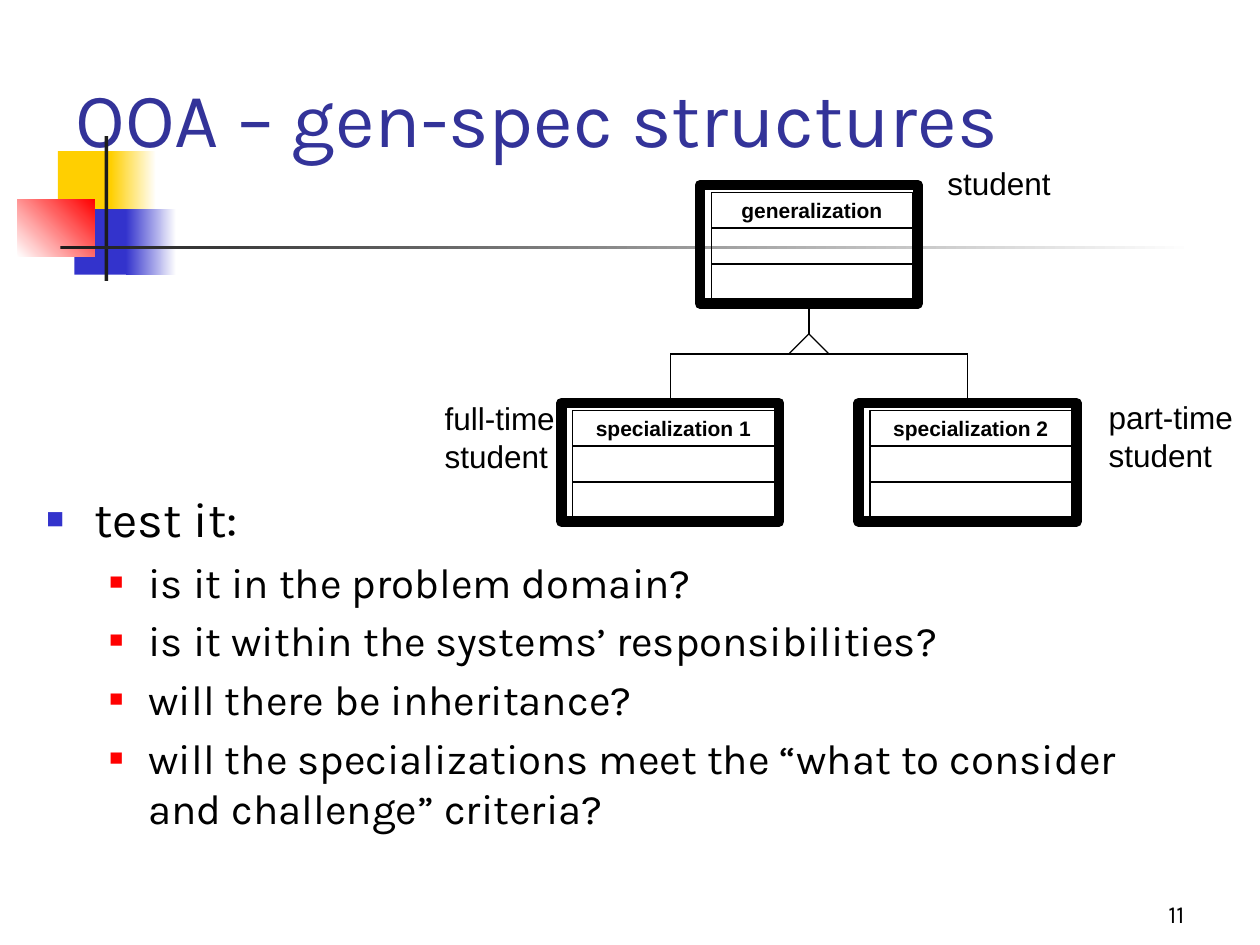
from lxml.etree import SubElement
from pptx import Presentation
from pptx.dml.color import RGBColor
from pptx.enum.shapes import MSO_CONNECTOR, MSO_SHAPE
from pptx.enum.text import MSO_ANCHOR, MSO_AUTO_SIZE, PP_ALIGN
from pptx.oxml.ns import qn
from pptx.util import Inches, Pt

BLACK = RGBColor(0x00, 0x00, 0x00)
WHITE = RGBColor(0xFF, 0xFF, 0xFF)
CHARCOAL = RGBColor(0x1C, 0x1C, 0x1C)
YELLOW = RGBColor(0xFF, 0xCF, 0x01)
BLUE = RGBColor(0x33, 0x33, 0xCC)
RED = RGBColor(0xFF, 0x00, 0x00)
INDIGO = RGBColor(0x33, 0x33, 0x99)

BOX_WIDTH, BOX_HEIGHT = 1.73, 0.94
ROW_WIDTH, ROW_HEIGHT = 1.6, 0.28
ROW_PITCH = 0.285


def write(frame, lines, font="Karla", size=18, color=BLACK, bold=False,
          align=PP_ALIGN.LEFT, anchor=MSO_ANCHOR.TOP, wrap=True,
          fit=MSO_AUTO_SIZE.NONE):
    frame.word_wrap = wrap
    frame.auto_size = fit
    frame.vertical_anchor = anchor
    frame.text = lines
    for paragraph in frame.paragraphs:
        paragraph.alignment = align
        for run in paragraph.runs:
            run.font.name = font
            run.font.size = Pt(size)
            run.font.bold = bold
            run.font.color.rgb = color


def add_bullet(paragraph, level, size, color, percent, margin, hanging):
    paragraph.level = level
    paragraph.space_before = Pt(size * 0.2)
    for run in paragraph.runs:
        run.font.size = Pt(size)
    properties = paragraph._p.get_or_add_pPr()
    properties.set("marL", str(Inches(margin)))
    properties.set("indent", str(-Inches(hanging)))
    bullet_color = SubElement(properties, qn("a:buClr"))
    SubElement(bullet_color, qn("a:srgbClr"), val=str(color))
    SubElement(properties, qn("a:buSzPct"), val=str(percent * 1000))
    SubElement(properties, qn("a:buFont"), typeface="Arial")
    SubElement(properties, qn("a:buChar"), char="■")


class SlideBuilder:
    heading_font = "Karla"
    diagram_font = "Arial"
    thin = 0.75
    thick = 6

    def __init__(self, slide):
        self.slide = slide

    def title(self, text, left, top, width, height):
        heading = self.slide.shapes.title
        heading.left, heading.top = Inches(left), Inches(top)
        heading.width, heading.height = Inches(width), Inches(height)
        write(heading.text_frame, text, font=self.heading_font, size=44,
              color=INDIGO, anchor=MSO_ANCHOR.MIDDLE)

    def rectangle(self, left, top, width, height, parent=None):
        shapes = (parent or self.slide).shapes
        block = shapes.add_shape(MSO_SHAPE.RECTANGLE, Inches(left), Inches(top),
                                 Inches(width), Inches(height))
        block.shadow.inherit = False
        return block

    def band(self, left, top, width, height, start, end=None, angle=0):
        block = self.rectangle(left, top, width, height)
        block.line.fill.background()
        if end is None:
            block.fill.solid()
            block.fill.fore_color.rgb = start
            return
        block.fill.gradient()
        block.fill.gradient_angle = angle
        for stop, color in zip(block.fill.gradient_stops, (start, end)):
            stop.color.rgb = color

    def outline(self, left, top, width, height, weight, parent):
        block = self.rectangle(left, top, width, height, parent)
        block.fill.background()
        block.line.color.rgb = BLACK
        block.line.width = Pt(weight)
        return block

    def class_box(self, name, center, top):
        group = self.slide.shapes.add_group_shape()
        left = center - BOX_WIDTH / 2
        self.outline(left, top, BOX_WIDTH, BOX_HEIGHT, self.thick, group)
        rows = [self.outline(left + 0.09, top + 0.06 + index * ROW_PITCH,
                             ROW_WIDTH, ROW_HEIGHT, self.thin, group)
                for index in range(3)]
        write(rows[0].text_frame, name, font=self.diagram_font, size=12, bold=True,
              align=PP_ALIGN.CENTER, anchor=MSO_ANCHOR.MIDDLE, wrap=False)

    def line(self, start, end):
        connector = self.slide.shapes.add_connector(
            MSO_CONNECTOR.STRAIGHT, *map(Inches, start + end))
        connector.line.color.rgb = BLACK
        connector.line.width = Pt(self.thin)
        SubElement(connector._element.spPr, qn("a:effectLst"))

    def text(self, lines, left, top, width, height, **style):
        box = self.slide.shapes.add_textbox(Inches(left), Inches(top),
                                            Inches(width), Inches(height))
        write(box.text_frame, lines, **style)
        return box.text_frame

    def label(self, lines, left, top, width, height):
        self.text(lines, left, top, width, height, font=self.diagram_font,
                  wrap=False, fit=MSO_AUTO_SIZE.SHAPE_TO_FIT_TEXT)

    def checklist(self, lead, questions, left, top, width, height):
        frame = self.text("\n".join([lead, *questions]), left, top, width, height,
                          font=self.heading_font)
        add_bullet(frame.paragraphs[0], 0, 28, BLUE, 60, 0.38, 0.38)
        for question in frame.paragraphs[1:]:
            add_bullet(question, 1, 24, RED, 55, 0.81, 0.31)


def main():
    presentation = Presentation()
    presentation.slide_width, presentation.slide_height = Inches(10), Inches(7.5)
    slide = presentation.slides.add_slide(presentation.slide_layouts[5])
    builder = SlideBuilder(slide)

    builder.band(0.46, 1.2, 0.48, 0.52, YELLOW)
    builder.band(0.88, 1.2, 0.36, 0.52, YELLOW, WHITE)
    builder.band(0.59, 1.66, 0.46, 0.52, BLUE)
    builder.band(1, 1.66, 0.4, 0.52, BLUE, WHITE)
    builder.band(0.14, 1.58, 0.61, 0.46, WHITE, RED, angle=45)
    builder.band(0.83, 1.08, 0.03, 1.15, CHARCOAL)
    builder.band(0.48, 1.95, 9, 0.03, CHARCOAL, WHITE)

    builder.text("11", 7.42, 6.92, 2.08, 0.5, size=14,
                 align=PP_ALIGN.RIGHT, anchor=MSO_ANCHOR.BOTTOM)
    builder.title("OOA – gen-spec structures", 0.5, 0.3, 9, 1.25)
    builder.checklist("test it:", [
        "is it in the problem domain?",
        "is it within the systems’ responsibilities?",
        "will there be inheritance?",
        "will the specializations meet the “what to consider and challenge” criteria?",
    ], 0.27, 3.83, 8.82, 3.15)

    general_x, general_y = 6.42, 1.47
    special_y, branch_y, apex_y = 3.2, 2.81, 2.65
    special_centers = (5.32, 7.68)
    builder.class_box("generalization", general_x, general_y)
    builder.line((general_x, general_y + BOX_HEIGHT), (general_x, apex_y))
    for side in (-1, 1):
        builder.line((general_x, apex_y), (general_x + side * 0.16, branch_y))
    builder.line((special_centers[0], branch_y), (special_centers[1], branch_y))
    for number, center in enumerate(special_centers, 1):
        builder.class_box(f"specialization {number}", center, special_y)
        builder.line((center, branch_y), (center, special_y))

    builder.label("student", 7.42, 1.25, 1.02, 0.4)
    builder.label("part-time\nstudent", 8.7, 3.11, 1.19, 0.7)
    builder.label("full-time\nstudent", 3.43, 3.12, 1.08, 0.7)

    presentation.save("out.pptx")


if __name__ == "__main__":
    main()
